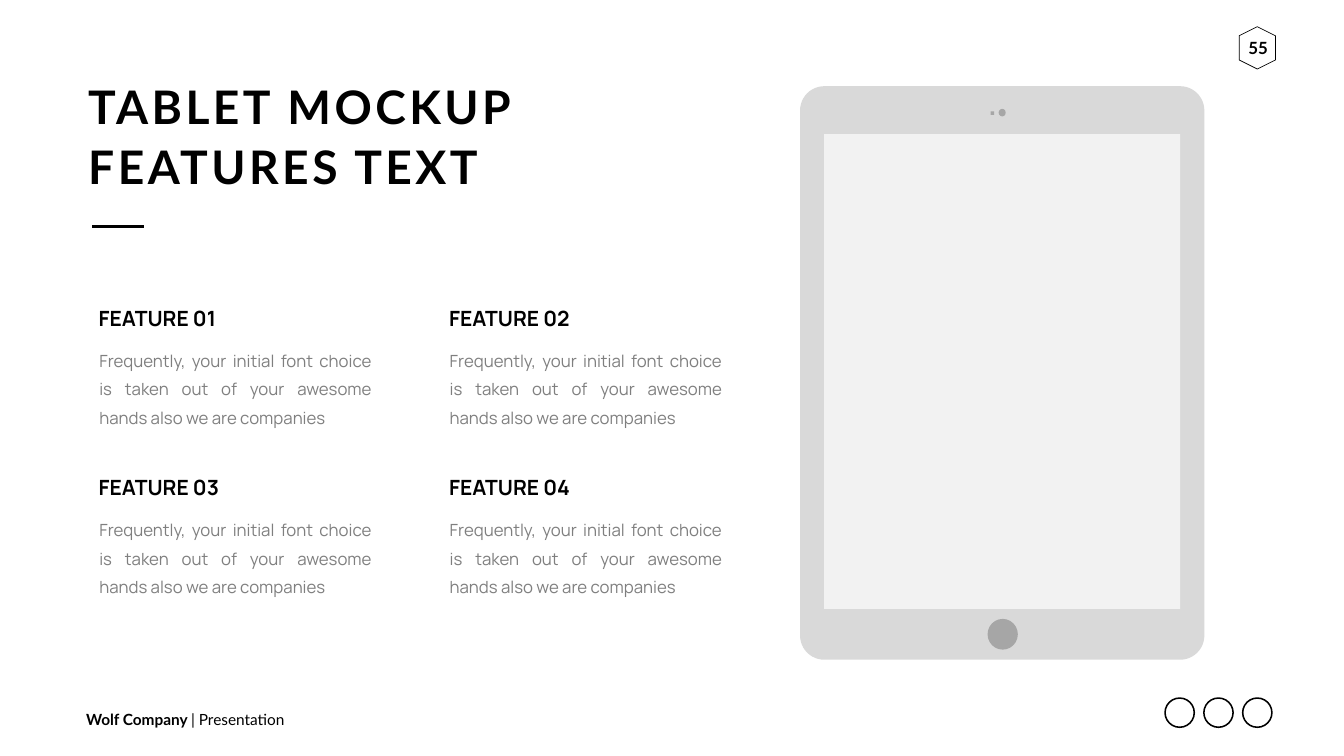
import pptx
import pptx.util
import pptx.dml.color
import pptx.enum.shapes
import pptx.enum.text
import pptx.oxml.ns
from dataclasses import dataclass
from lxml import etree

Inches = pptx.util.Inches
Pt = pptx.util.Pt
Shape = pptx.enum.shapes.MSO_SHAPE
Align = pptx.enum.text.PP_ALIGN
Anchor = pptx.enum.text.MSO_ANCHOR


@dataclass(frozen=True)
class Theme:
    ink: str = "000000"
    body: str = "7F7F7F"
    case: str = "D9D9D9"
    screen: str = "F2F2F2"
    detail: str = "A6A6A6"
    heading_font: str = "Lato"
    body_font: str = "Manrope"
    title_size: int = 66
    feature_size: int = 30
    body_size: int = 24
    number_size: int = 24
    footer_size: int = 22


THEME = Theme()
FEATURE_TEXT = ("Frequently, your initial font choice is taken out of your "
                "awesome hands also we are companies")


def color(value):
    return pptx.dml.color.RGBColor.from_string(value)


def add_shape(shapes, kind, box, fill=None, line=None, width=1):
    """Add a preset shape with a plain fill and/or outline."""
    shape = shapes.add_shape(kind, *map(Inches, box))
    shape.shadow.inherit = False
    if fill:
        shape.fill.solid()
        shape.fill.fore_color.rgb = color(fill)
    else:
        shape.fill.background()
    if line:
        shape.line.color.rgb = color(line)
        shape.line.width = Pt(width)
    else:
        shape.line.fill.background()
    return shape


def add_text_box(slide, box, insets=(0.1, 0.05), anchor=Anchor.MIDDLE, wrap=False):
    """Add an empty text box and return its text frame."""
    frame = slide.shapes.add_textbox(*map(Inches, box)).text_frame
    frame.word_wrap = wrap
    frame.vertical_anchor = anchor
    frame.margin_left = frame.margin_right = Inches(insets[0])
    frame.margin_top = frame.margin_bottom = Inches(insets[1])
    return frame


def add_run(paragraph, text, size, font, ink=THEME.ink, bold=False):
    run = paragraph.add_run()
    run.text = text
    run.font.size = Pt(size)
    run.font.name = font
    run.font.bold = bold
    run.font.color.rgb = color(ink)
    return run


def add_title(slide, lines):
    frame = add_text_box(slide, (1.75, 1.47, 11, 2.38), insets=(0, 0), wrap=True)
    for index, line in enumerate(lines):
        paragraph = frame.add_paragraph() if index else frame.paragraphs[0]
        paragraph.line_spacing = Pt(85)
        run = add_run(paragraph, line, THEME.title_size, THEME.heading_font, bold=True)
        run.font._element.set("spc", "500")  # letter spacing, 5 pt

    # Short rule under the title
    rule = slide.shapes.add_connector(
        pptx.enum.shapes.MSO_CONNECTOR.STRAIGHT,
        Inches(1.83), Inches(4.49), Inches(2.85), Inches(4.49))
    rule.line.color.rgb = color(THEME.ink)
    rule.line.width = Pt(4.5)
    etree.SubElement(rule._element.spPr, pptx.oxml.ns.qn("a:effectLst"))


def add_feature(slide, left, top, heading):
    frame = add_text_box(slide, (left + 0.13, top, 2.65, 0.61))
    add_run(frame.paragraphs[0], heading, THEME.feature_size, THEME.body_font, bold=True)

    frame = add_text_box(slide, (left, top + 0.68, 5.88, 1.92),
                         insets=(0.24, 0.12), anchor=Anchor.TOP, wrap=True)
    paragraph = frame.paragraphs[0]
    paragraph.alignment = Align.JUSTIFY
    paragraph.line_spacing = Pt(40.4)
    add_run(paragraph, FEATURE_TEXT, THEME.body_size, THEME.body_font, THEME.body)


def add_tablet(slide):
    shapes = slide.shapes.add_group_shape().shapes
    case = add_shape(shapes, Shape.ROUNDED_RECTANGLE, (15.87, 1.71, 8.02, 11.38), THEME.case)
    case.adjustments[0] = 0.06
    add_shape(shapes, Shape.RECTANGLE, (16.35, 2.66, 7.06, 9.42), THEME.screen)
    add_shape(shapes, Shape.OVAL, (19.81, 2.16, 0.14, 0.15), THEME.detail)  # camera
    add_shape(shapes, Shape.RECTANGLE, (19.65, 2.21, 0.07, 0.07), THEME.detail)  # sensor
    add_shape(shapes, Shape.OVAL, (19.59, 12.28, 0.6, 0.61), THEME.detail)  # home button


def add_page_number(slide, number):
    badge = add_shape(slide.shapes, Shape.HEXAGON, (24.52, 0.59, 0.84, 0.72), line=THEME.ink)
    badge.rotation = 90
    frame = add_text_box(slide, (24.48, 0.65, 0.95, 0.61), insets=(0.2, 0.1), anchor=Anchor.TOP)
    frame.paragraphs[0].alignment = Align.CENTER
    add_run(frame.paragraphs[0], number, THEME.number_size, THEME.heading_font, bold=True)


def add_footer(slide):
    paragraph = add_text_box(slide, (1.61, 14.03, 4.17, 0.47)).paragraphs[0]
    add_run(paragraph, "Wolf Company ", THEME.footer_size, THEME.heading_font, bold=True)
    add_run(paragraph, "| Presentation", THEME.footer_size, THEME.heading_font)

    # Plain rings for the social links
    for index in range(3):
        add_shape(slide.shapes, Shape.OVAL, (23.11 + index * 0.77, 13.85, 0.58, 0.58),
                  line=THEME.ink, width=2.2)


def main():
    presentation = pptx.Presentation()
    presentation.slide_width = Inches(26.66)
    presentation.slide_height = Inches(15)
    slide = presentation.slides.add_slide(presentation.slide_layouts[6])

    add_footer(slide)
    add_page_number(slide, "55")
    add_tablet(slide)
    add_title(slide, ["TABLET MOCKUP", "FEATURES TEXT"])

    # Features in a two by two grid
    for index in range(4):
        row, column = divmod(index, 2)
        add_feature(slide, 1.73 + column * 6.95, 6 + row * 3.36, f"FEATURE {index + 1:02}")

    presentation.save("out.pptx")


if __name__ == "__main__":
    main()
